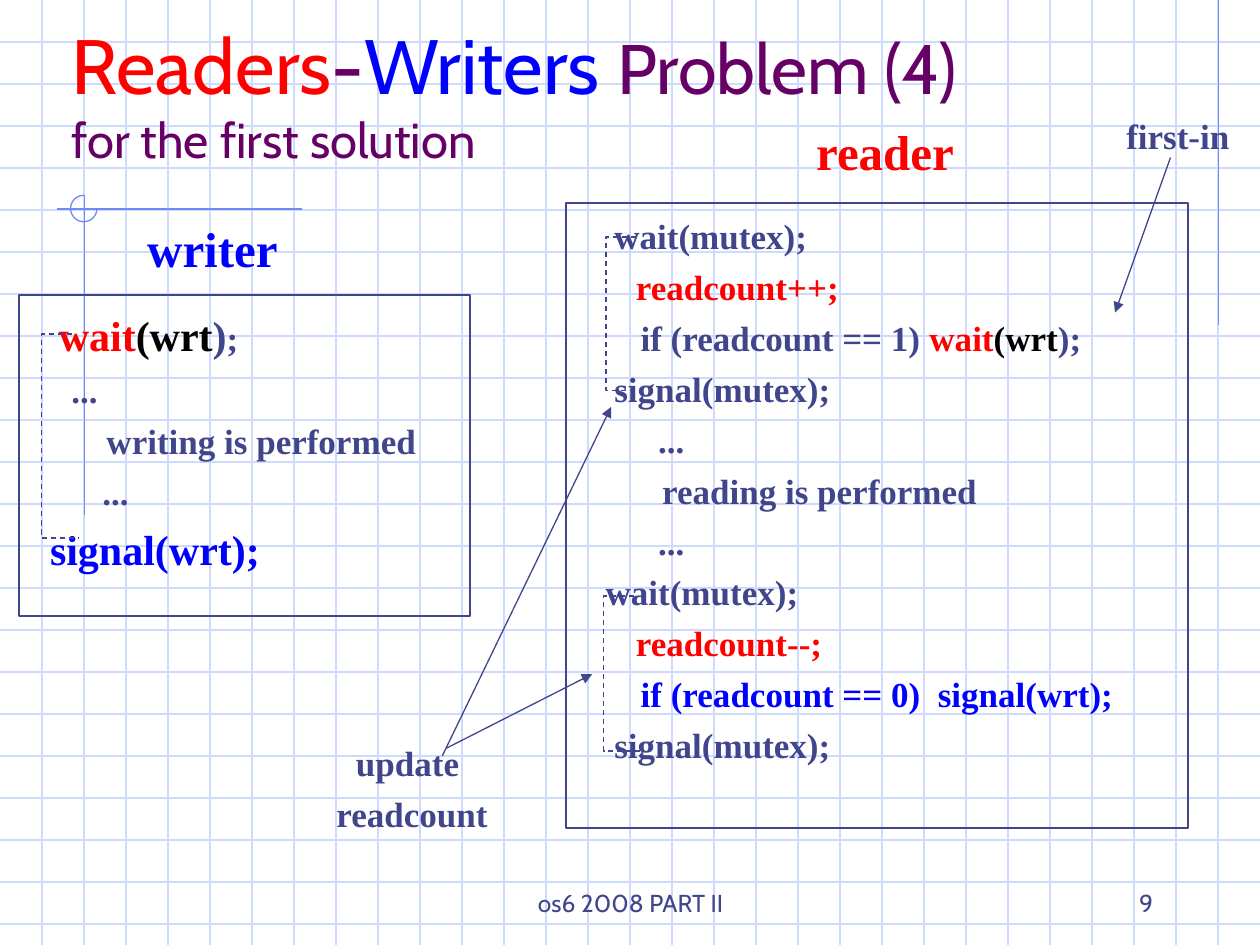
from lxml.etree import SubElement
from pptx import Presentation
from pptx.dml.color import RGBColor
from pptx.enum.dml import MSO_LINE_DASH_STYLE as Dash
from pptx.enum.shapes import MSO_CONNECTOR as Connector, MSO_SHAPE as Shape
from pptx.enum.text import MSO_ANCHOR as Anchor, MSO_AUTO_SIZE as AutoSize, PP_ALIGN as Align
from pptx.oxml.ns import qn
from pptx.util import Inches, Pt

COLORS = {
    "grid": "CFDBFD",
    "accent": "6F89F7",
    "ink": "40458C",
    "red": "FF0000",
    "blue": "0000FF",
    "black": "000000",
    "purple": "660066",
}
SERIF = "Times New Roman"
SANS = "Cabin"
HANG = 0.31

READER_CODE = [
    [("    wait(mutex);", "ink", 20)],
    [("   \t  ", "ink", 20), ("readcount++;", "red", 20)],
    [("       if (readcount == 1) ", "ink", 20), ("wait", "red", 20),
     ("(wrt", "black", 20), (");", "ink", 20)],
    [("    signal(mutex);", "ink", 20)],
    [("         ...", "ink", 20)],
    [("   \t     reading is performed", "ink", 20)],
    [("         ...", "ink", 20)],
    [("   wait(mutex);", "ink", 20)],
    [("   \t  ", "ink", 20), ("readcount--;", "red", 20)],
    [("       ", "ink", 20), ("if (readcount == 0)  signal(wrt);", "blue", 20)],
    [("    signal(mutex);", "ink", 20)],
]
WRITER_CODE = [
    [("    ", "ink", 20), ("wait", "red", 24), ("(wrt", "black", 24),
     (")", "ink", 24), (";", "ink", 20)],
    [("   \t ...", "ink", 20)],
    [("   \t     writing is performed", "ink", 20)],
    [("         ...", "ink", 20)],
    [("   ", "ink", 20), ("signal(wrt);", "blue", 24)],
]
TITLE = [
    [("Readers", "red", 44), ("-", "purple", 44), ("Writers ", "blue", 44),
     ("Problem (4)", "purple", 40), None,
     ("for the first solution", "purple", 28)],
]


def color(name):
    return RGBColor.from_string(COLORS[name])


def style_line(line, name, width=0.75):
    line.color.rgb = color(name)
    line.width = Pt(width)


def add_line(page, start, end, name, arrow=False):
    points = [Inches(value) for value in (*start, *end)]
    line = page.shapes.add_connector(Connector.STRAIGHT, *points)
    style_line(line.line, name)
    properties = line._element.spPr
    if arrow:
        SubElement(properties.find(qn("a:ln")), qn("a:tailEnd"), type="triangle")
    SubElement(properties, qn("a:effectLst"))


def add_outline(page, kind, bounds, name, width):
    shape = page.shapes.add_shape(kind, *map(Inches, bounds))
    shape.shadow.inherit = False
    shape.fill.background()
    style_line(shape.line, name, width)
    return shape


def add_bracket(page, left, top, bottom, upper_end, lower_end):
    builder = page.shapes.build_freeform(Inches(upper_end), Inches(top))
    corners = [(left, top), (left, bottom), (lower_end, bottom)]
    builder.add_line_segments([(Inches(x), Inches(y)) for x, y in corners], close=False)
    bracket = builder.convert_to_shape()
    bracket.shadow.inherit = False
    bracket.fill.background()
    style_line(bracket.line, "ink")
    bracket.line.dash_style = Dash.DASH


def add_text(page, bounds, lines, font=SERIF, align=Align.LEFT, anchor=Anchor.TOP, wrap=True):
    box = page.shapes.add_textbox(*map(Inches, bounds))
    frame = box.text_frame
    frame.word_wrap = wrap
    frame.vertical_anchor = anchor
    if not wrap:
        frame.auto_size = AutoSize.SHAPE_TO_FIT_TEXT
    for index, spans in enumerate(lines):
        para = frame.add_paragraph() if index else frame.paragraphs[0]
        para.alignment = align
        for item in spans:
            if item is None:
                para.add_line_break()
                continue
            text, name, size = item
            span = para.add_run()
            span.text = text
            span.font.name = font
            span.font.size = Pt(size)
            span.font.bold = font == SERIF
            span.font.color.rgb = color(name)
    return frame


def add_serif(page, bounds, lines, align=Align.LEFT):
    frame = add_text(page, bounds, lines, align=align, wrap=False)
    for index, para in enumerate(frame.paragraphs):
        para.line_spacing = 0.9
        if index:
            para.space_before = Pt(7.5)
    return frame


def add_code(page, bounds, lines):
    frame = add_serif(page, bounds, lines)
    for para in frame.paragraphs:
        properties = para._p.get_or_add_pPr()
        properties.set("marL", str(Inches(HANG)))
        properties.set("indent", str(-Inches(HANG)))
        tabs = SubElement(properties, qn("a:tabLst"))
        for stop in range(8):
            SubElement(tabs, qn("a:tab"), pos=str(Inches(stop)), algn="l")
    return frame


def add_background(page):
    for row in range(1, 23):
        add_line(page, (0, row / 3), (10, row / 3), "grid")
    for column in range(1, 30):
        add_line(page, (column / 3, 0), (column / 3, 7.5), "grid")
    add_line(page, (9.67, 0), (9.67, 2.58), "accent")
    add_line(page, (2.4, 1.66), (0.45, 1.66), "accent")
    add_line(page, (0.67, 1.55), (0.67, 4.09), "accent")
    arc = add_outline(page, Shape.ARC, (0.56, 1.55, 0.21, 0.21), "accent", 0.75)
    arc.adjustments[0] = 0
    arc.adjustments[1] = 162


def main():
    deck = Presentation()
    deck.slide_width = Inches(10)
    deck.slide_height = Inches(7.5)
    page = deck.slides.add_slide(deck.slide_layouts[6])
    add_background(page)

    add_outline(page, Shape.RECTANGLE, (4.49, 1.61, 4.94, 4.96), "ink", 1)
    add_outline(page, Shape.RECTANGLE, (0.15, 2.34, 3.58, 2.55), "ink", 1)
    add_code(page, (4.5, 1.69, 5.07, 4.44), READER_CODE)
    writer = add_code(page, (0.09, 2.45, 3.94, 2.64), WRITER_CODE)
    writer.paragraphs[-1].space_before = Pt(9)

    add_text(page, (0.47, 0.27, 9.14, 0.94), TITLE, SANS, anchor=Anchor.MIDDLE)
    add_serif(page, (1.07, 1.74, 1.27, 0.52), [[("writer", "blue", 28)]])
    add_serif(page, (6.38, 0.97, 1.3, 0.52), [[("reader", "red", 28)]])

    add_bracket(page, 0.33, 2.65, 4.27, 0.57, 0.63)
    add_bracket(page, 4.81, 1.88, 3.1, 5.05, 5.1)
    add_bracket(page, 4.79, 4.73, 5.96, 5.03, 5.08)

    add_serif(page, (2.57, 5.87, 1.4, 0.81),
              [[("update ", "ink", 20)], [("readcount", "ink", 20)]], Align.CENTER)
    add_line(page, (3.54, 5.94), (4.7, 5.35), "ink", arrow=True)
    add_serif(page, (8.84, 0.9, 1.02, 0.4), [[("first-in", "ink", 20)]])
    add_line(page, (9.29, 1.25), (8.85, 2.48), "ink", arrow=True)
    add_line(page, (3.51, 6), (4.85, 3.23), "ink", arrow=True)

    add_text(page, (3.42, 6.83, 3.17, 0.5), [[("os6 2008 PART II", "ink", 14)]],
             SANS, Align.CENTER, Anchor.BOTTOM)
    add_text(page, (7.17, 6.83, 2.08, 0.5), [[("9", "ink", 14)]],
             SANS, Align.RIGHT, Anchor.BOTTOM)
    deck.save("out.pptx")


if __name__ == "__main__":
    main()
